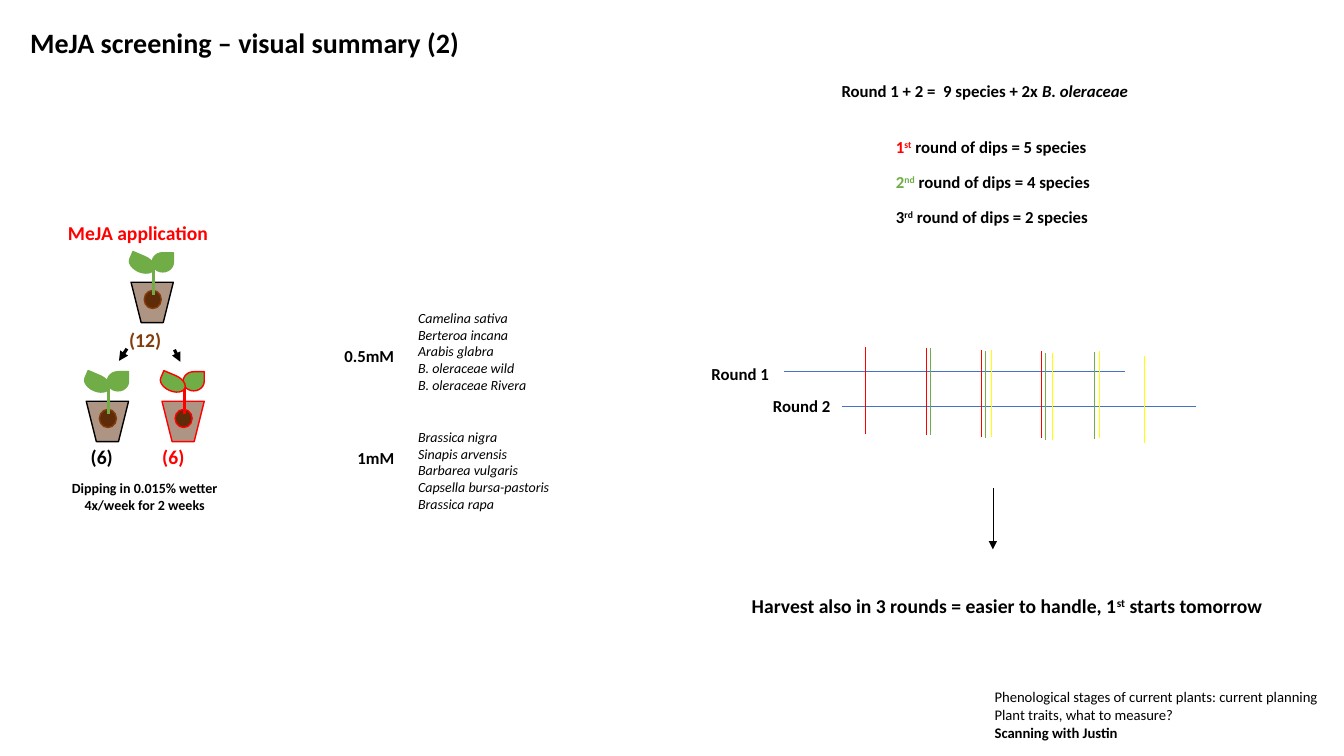
from lxml import etree
from pptx import Presentation
from pptx.dml.color import RGBColor
from pptx.enum.shapes import MSO_CONNECTOR, MSO_SHAPE
from pptx.enum.text import MSO_AUTO_SIZE, PP_ALIGN
from pptx.oxml.ns import qn
from pptx.util import Pt

BLACK = RGBColor(0x00, 0x00, 0x00)
RED = RGBColor(0xFF, 0x00, 0x00)
GREEN = RGBColor(0x70, 0xAD, 0x47)
YELLOW = RGBColor(0xFF, 0xFF, 0x00)
BLUE = RGBColor(0x44, 0x72, 0xC4)
SOIL = RGBColor(0x5F, 0x2C, 0x09)
BROWN = RGBColor(0x84, 0x3C, 0x0B)

STRAIGHT = MSO_CONNECTOR.STRAIGHT
POT, SEED, LEAF = MSO_SHAPE.TRAPEZOID, MSO_SHAPE.OVAL, MSO_SHAPE.TEAR
LEFT, MID, RIGHT = PP_ALIGN.LEFT, PP_ALIGN.CENTER, PP_ALIGN.RIGHT
FIT = MSO_AUTO_SIZE.SHAPE_TO_FIT_TEXT

LOW = ["Camelina sativa", "Berteroa incana", "Arabis glabra",
       "B. oleraceae wild", "B. oleraceae Rivera"]
HIGH = ["Brassica nigra", "Sinapis arvensis", "Barbarea vulgaris",
        "Capsella bursa-pastoris", "Brassica rapa"]

# Left and top of each dip mark, by round of dips
MARKS = {
    RED: [(617.8, 247.7), (661.7, 248.4), (701.3, 249.8), (743.8, 250.6)],
    GREEN: [(664.6, 248.4), (704.2, 250.6), (746.6, 252), (781.9, 251.3)],
    YELLOW: [(707.8, 249.8), (751.7, 252), (785.5, 250.6), (817.2, 254.2)],
}
MARK_H = 62.2


def style(run, size, color, bold=False, italic=False):
    font = run.font
    font.name, font.size = "Calibri", Pt(size)
    font.bold, font.italic = bold, italic
    font.color.rgb = color


def add_box(slide, x, y, w, h):
    frame = slide.shapes.add_textbox(Pt(x), Pt(y), Pt(w), Pt(h)).text_frame
    frame.word_wrap = False
    frame.auto_size = FIT
    return frame


def add_text(slide, area, text, size, color=BLACK, bold=True, italic=False,
             align=LEFT):
    frame = add_box(slide, *area)
    frame.text = text
    for para in frame.paragraphs:
        para.alignment = align
        for run in para.runs:
            style(run, size, color, bold, italic)
    return frame


def add_rank(slide, area, size, lead, mark, rest, color=BLACK):
    """Bold line with a raised ordinal ending."""
    para = add_box(slide, *area).paragraphs[0]
    for text, tint in ((lead, color), (mark, color), (rest, BLACK)):
        run = para.add_run()
        run.text = text
        style(run, size, tint, bold=True)
        if text == mark:
            run.font._element.set("baseline", "30000")


def add_line(shapes, x1, y1, x2, y2, color, width=0.5, arrow=False):
    line = shapes.add_connector(STRAIGHT, Pt(x1), Pt(y1), Pt(x2), Pt(y2))
    line.line.color.rgb = color
    line.line.width = Pt(width)
    if arrow:
        tail = etree.SubElement(line.line._get_or_add_ln(), qn("a:tailEnd"))
        tail.set("type", "triangle")
    etree.SubElement(line._element.spPr, qn("a:effectLst"))


def add_part(shapes, kind, x, y, w, h, fill, edge, turn=0):
    part = shapes.add_shape(kind, Pt(x), Pt(y), Pt(w), Pt(h))
    part.shadow.inherit = False
    part.rotation = turn
    part.fill.solid()
    part.fill.fore_color.rgb = fill
    part.line.color.rgb = edge
    part.line.width = Pt(1)
    return part


def add_plant(slide, x, y, rim=BLACK, ring=BROWN, stem=GREEN):
    parts = slide.shapes.add_group_shape().shapes
    pot = add_part(parts, POT, x, y + 22.3, 30.2, 28.8, SOIL, rim, 180)
    tint = pot._element.spPr.find(qn("a:solidFill"))[0]
    etree.SubElement(tint, qn("a:alpha")).set("val", "50000")
    add_part(parts, SEED, x + 9.4, y + 28.1, 12.2, 13, SOIL, ring)
    add_line(parts, x + 15.8, y + 11.5, x + 15.8, y + 31.3, stem, 2.25)
    add_part(parts, LEAF, x + 15.1, y + 1.2, 15.1, 13.7, GREEN, stem)
    add_part(parts, LEAF, x + 2, y, 11.5, 18.7, GREEN, stem, 293)


def add_meja(slide):
    add_text(slide, (41, 154, 115.2, 24.5), "MeJA application", 14, RED,
             align=MID)
    add_plant(slide, 93.6, 179.3)
    add_plant(slide, 61.6, 264.3)
    add_plant(slide, 115.7, 264.3, RED, RED, RED)
    for x, y, w, text, color in ((85, 230.4, 37.4, "(12)", BROWN),
                                 (57.6, 314.6, 30.2, "(6)", BLACK),
                                 (108.7, 314.6, 30.2, "(6)", RED)):
        add_text(slide, (x, y, w, 24.5), text, 14, color, align=MID)
    add_line(slide.shapes, 90.7, 249.1, 85, 257.8, BLACK, 2.25, True)
    add_line(slide.shapes, 124.6, 249.8, 128.9, 258.5, BLACK, 2.25, True)
    add_text(slide, (41, 339.1, 124.6, 31.7),
             "Dipping in 0.015% wetter\n4x/week for 2 weeks", 10, align=MID)


def add_doses(slide):
    for dose, dose_y, names, y, w in (("0.5mM", 243.4, LOW, 217.4, 93.6),
                                      ("1mM", 316.6, HIGH, 302.4, 109.4)):
        add_text(slide, (238.3, dose_y, 50.4, 21.6), dose, 12, align=RIGHT)
        add_text(slide, (291.6, y, w, 67.7), "\n".join(names), 10,
                 bold=False, italic=True)


def add_rounds(slide):
    # Species counts
    para = add_text(slide, (594, 54, 222.5, 21.6),
                    "Round 1 + 2 =  9 species + 2x ", 12).paragraphs[0]
    run = para.add_run()
    run.text = "B. oleraceae"
    style(run, 12, BLACK, bold=True, italic=True)
    ranks = (("1", "st", 5, RED), ("2", "nd", 4, GREEN), ("3", "rd", 2, BLACK))
    for i, (num, mark, count, color) in enumerate(ranks):
        add_rank(slide, (632.9, 94.3 + 25 * i, 158, 21.6), 12, num, mark,
                 f" round of dips = {count} species", color)

    # Timeline
    add_line(slide.shapes, 560.2, 265, 803.5, 265, BLUE)
    add_line(slide.shapes, 601.2, 290.2, 854.6, 290.2, BLUE)
    add_text(slide, (501.1, 256.3, 56.2, 21.6), "Round 1", 12)
    add_text(slide, (545, 279.4, 56.2, 21.6), "Round 2", 12)
    for color, spots in MARKS.items():
        for x, y in spots:
            add_line(slide.shapes, x, y, x, y + MARK_H, color)

    # Harvest
    add_line(slide.shapes, 709.2, 348.5, 709.2, 392.4, BLACK, arrow=True)
    add_rank(slide, (529.9, 420.5, 385.9, 24.5), 14,
             "Harvest also in 3 rounds = easier to handle, 1", "st",
             " starts tomorrow")


def add_notes(slide):
    frame = add_text(slide, (703.4, 488, 249.8, 57.6),
                     "Phenological stages of current plants: current planning\n"
                     "Plant traits, what to measure?\nScanning with Justin",
                     10.5, bold=False)
    frame.paragraphs[-1].runs[0].font.bold = True


def main():
    deck = Presentation()
    deck.slide_width, deck.slide_height = Pt(960), Pt(540)
    slide = deck.slides.add_slide(deck.slide_layouts[6])
    add_text(slide, (14.4, 14.4, 324, 31.7),
             "MeJA screening – visual summary (2)", 20)
    add_meja(slide)
    add_doses(slide)
    add_rounds(slide)
    add_notes(slide)
    deck.save("out.pptx")


if __name__ == "__main__":
    main()
